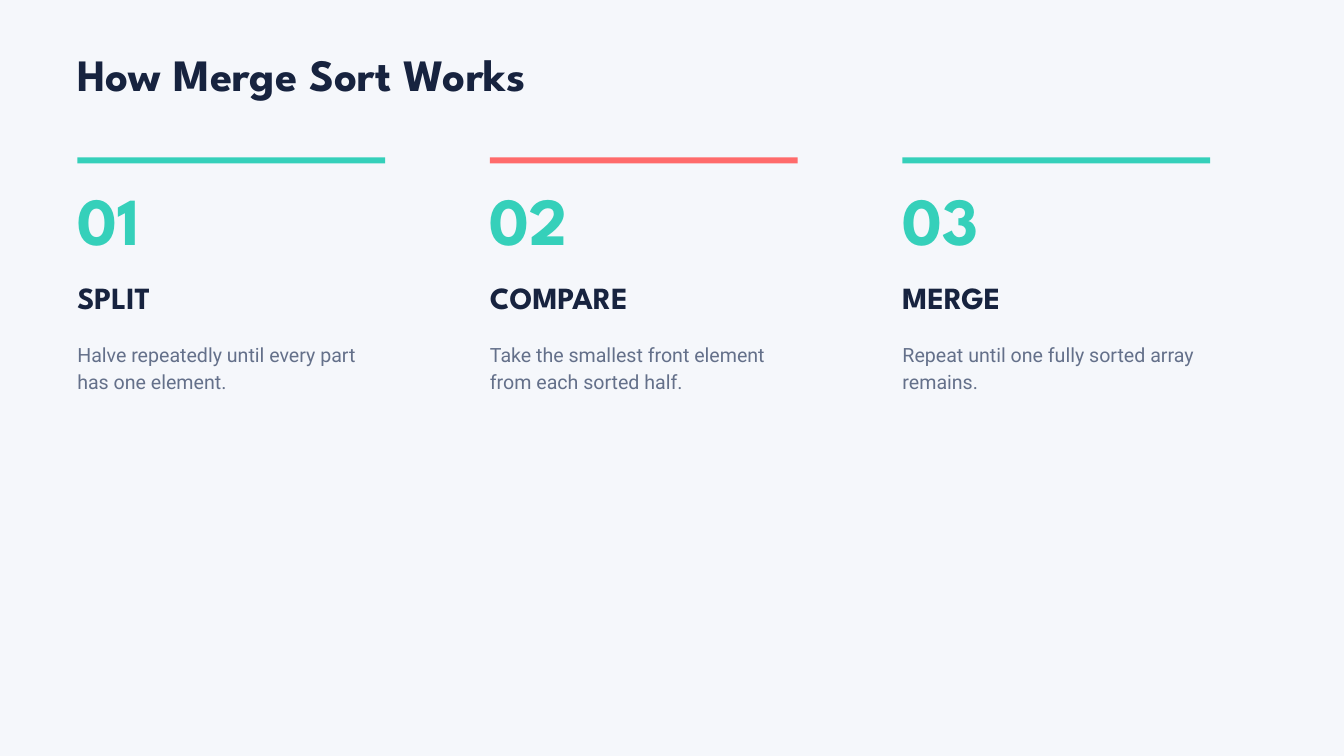
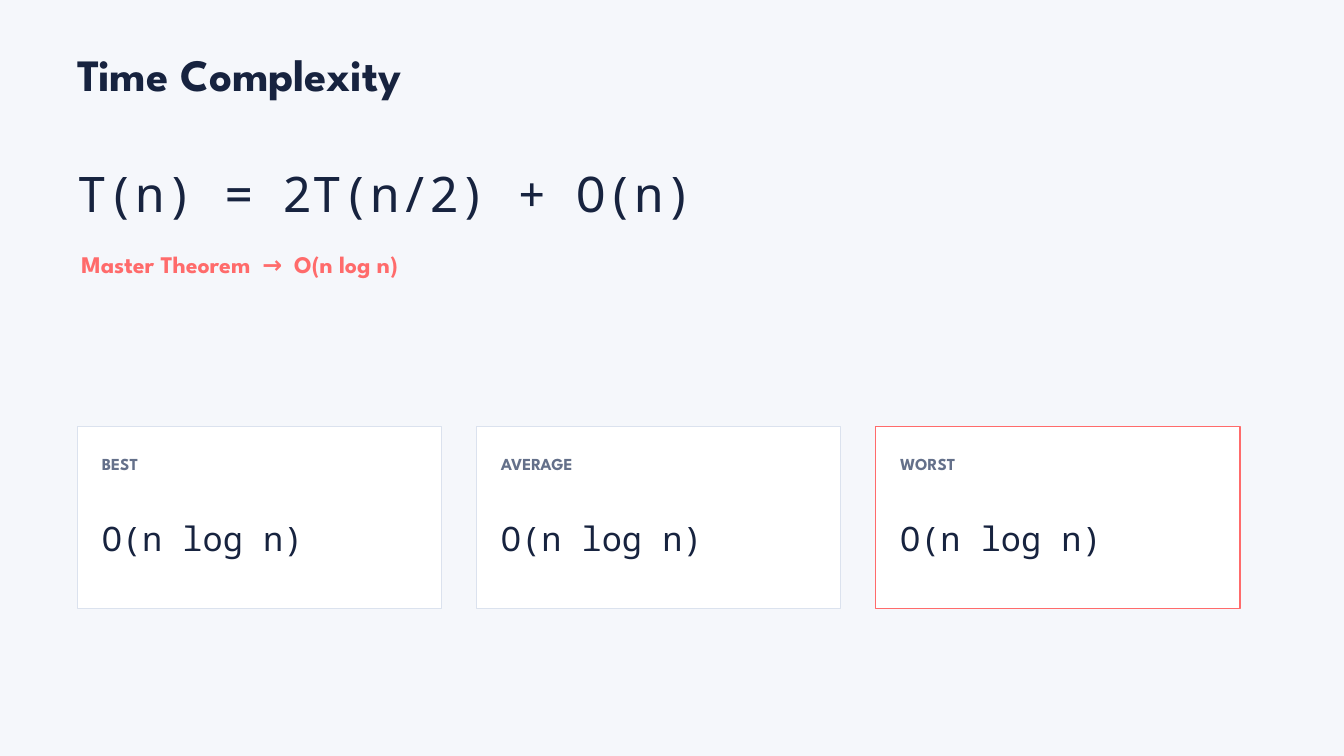
"""Builds two slides on merge sort: how it works and its time complexity."""
from dataclasses import dataclass

from pptx import Presentation
from pptx.dml.color import RGBColor
from pptx.enum.shapes import MSO_SHAPE as Preset
from pptx.enum.text import MSO_ANCHOR as Anchor, MSO_AUTO_SIZE as AutoSize, PP_ALIGN as Align
from pptx.util import Inches, Pt


@dataclass(frozen=True)
class Style:
    font: str
    size: float
    leading: float
    color: str
    bold: bool = False


class Theme:
    width, height = 20, 11.25
    margin = 1.15
    paper, card = "F5F7FB", "FFFFFF"
    ink, muted, border = "17233F", "64708A", "DBE2EE"
    teal, coral = "35D0BA", "FF6B6B"
    border_width = 1.5
    display, text, mono = "League Spartan", "Roboto", "Noto Sans Mono"
    title = Style(display, 48, 49, ink, True)
    number = Style(display, 72, 73.4, teal, True)
    heading = Style(display, 33, 33.7, ink, True)
    body = Style(text, 21, 28.4, muted)
    formula = Style(mono, 52.5, 76.1, ink)
    result = Style(display, 25.5, 26, coral, True)
    label = Style(display, 18, 18.4, muted, True)
    cost = Style(mono, 36, 52.2, ink)
    arrow_tracking = 6


def color(value):
    return RGBColor.from_string(value)


def column_lefts(width, gap, count=3):
    """Left edges of equal columns starting at the page margin."""
    return [Theme.margin + index * (width + gap) for index in range(count)]


def set_text(box, parts, style):
    """Fill a box with one styled paragraph and return its runs."""
    frame = box.text_frame
    frame.word_wrap = True
    frame.auto_size = AutoSize.SHAPE_TO_FIT_TEXT
    frame.vertical_anchor = Anchor.TOP
    frame.margin_left = frame.margin_top = frame.margin_right = frame.margin_bottom = 0
    para = frame.paragraphs[0]
    para.alignment = Align.LEFT
    para.line_spacing = Pt(style.leading)
    for part in parts:
        span = para.add_run()
        span.text = part
        span.font.name = style.font
        span.font.size = Pt(style.size)
        span.font.bold = style.bold
        span.font.color.rgb = color(style.color)
    return para.runs


def add_text(shapes, area, style, *parts):
    box = shapes.add_textbox(*map(Inches, area))
    return set_text(box, parts, style)


def add_panel(shapes, area, fill, line=None):
    panel = shapes.add_shape(Preset.RECTANGLE, *map(Inches, area))
    panel.shadow.inherit = False
    panel.fill.solid()
    panel.fill.fore_color.rgb = color(fill)
    if line:
        panel.line.color.rgb = color(line)
        panel.line.width = Pt(Theme.border_width)
    else:
        panel.line.fill.background()


def add_page(deck, title):
    """Add a slide with the shared background and title."""
    page = deck.slides.add_slide(deck.slide_layouts.get_by_name("Title Only"))
    page.background.fill.solid()
    page.background.fill.fore_color.rgb = color(Theme.paper)
    box = page.shapes.title
    box.left, box.top, box.width, box.height = map(Inches, (Theme.margin, 0.82, 15.62, 0.7))
    set_text(box, [title], Theme.title)
    return page


def add_step(page, left, width, bar_color, number, heading, body):
    shapes = page.shapes
    add_panel(shapes, (left, 2.34, width, 0.09), bar_color)
    add_text(shapes, (left, 2.84, 1.56, 1.05), Theme.number, number)
    add_text(shapes, (left, 4.23, 4.48, 0.48), Theme.heading, heading)
    add_text(shapes, (left, 5.06, width, 0.77), Theme.body, body)


def add_case(page, left, width, border, label, cost):
    """Add a grouped card with a case label and its cost."""
    shapes = page.shapes.add_group_shape().shapes
    top, inset = 6.35, 0.365
    inner = width - 2 * inset
    add_panel(shapes, (left, top, width, 2.71), Theme.card, border)
    add_text(shapes, (left + inset, top + 0.45, inner, 0.26), Theme.label, label)
    add_text(shapes, (left + inset, top + 1.23, inner, 0.67), Theme.cost, cost)


def build_steps(deck):
    page = add_page(deck, "How Merge Sort Works")
    steps = [
        (Theme.teal, "01", "SPLIT", "Halve repeatedly until every part has one element."),
        (Theme.coral, "02", "COMPARE", "Take the smallest front element from each sorted half."),
        (Theme.teal, "03", "MERGE", "Repeat until one fully sorted array remains."),
    ]
    width = 4.58
    for left, step in zip(column_lefts(width, 1.56), steps):
        add_step(page, left, width, *step)


def build_complexity(deck):
    page = add_page(deck, "Time Complexity")
    add_text(page.shapes, (Theme.margin, 2.25, 10.83, 1.02), Theme.formula, "T(n) = 2T(n/2) + O(n)")
    spans = add_text(page.shapes, (1.21, 3.78, 9.38, 0.39), Theme.result,
                     "Master Theorem", " →", " O(n log n)")
    spans[1].font._element.set("spc", str(Theme.arrow_tracking * 100))
    cases = [(Theme.border, "BEST"), (Theme.border, "AVERAGE"), (Theme.coral, "WORST")]
    width = 5.42
    for left, (border, label) in zip(column_lefts(width, 0.52), cases):
        add_case(page, left, width, border, label, "O(n log n)")


def main():
    deck = Presentation()
    deck.slide_width, deck.slide_height = Inches(Theme.width), Inches(Theme.height)
    build_steps(deck)
    build_complexity(deck)
    deck.save("out.pptx")


if __name__ == "__main__":
    main()
